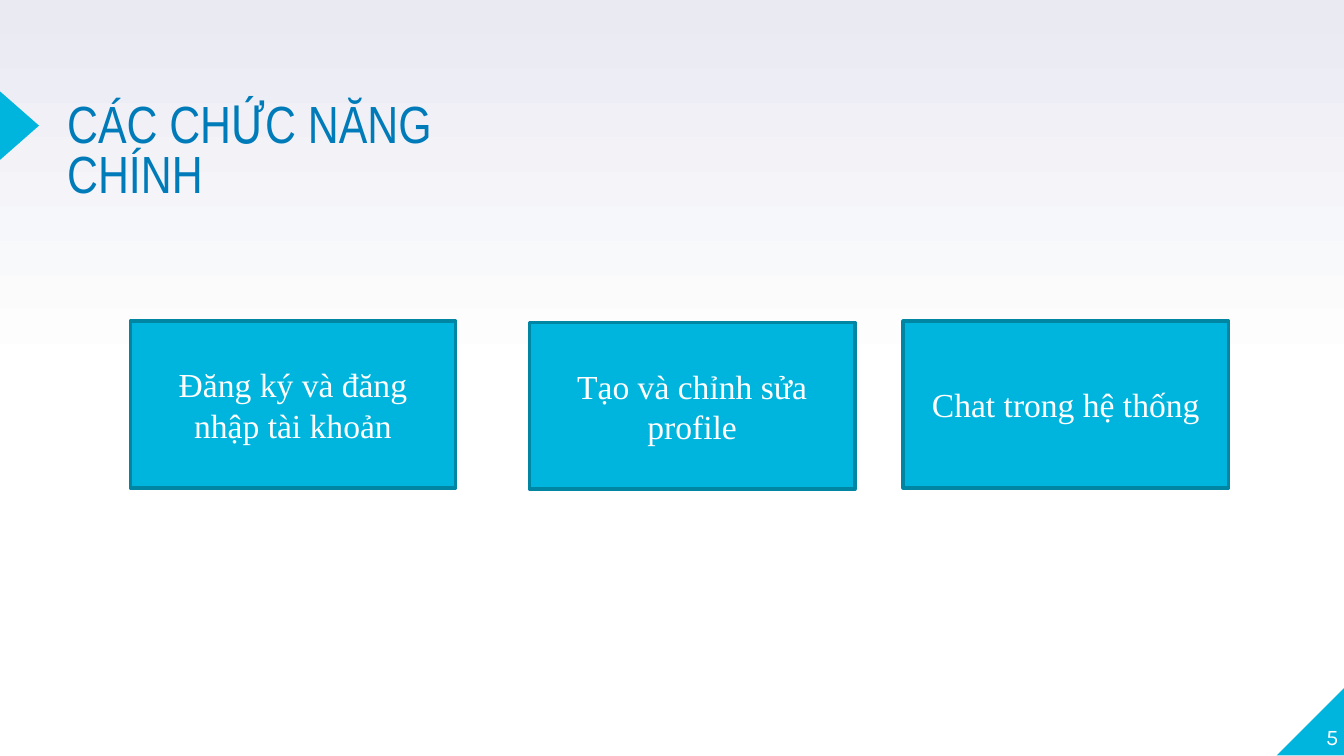
from pptx import Presentation, util as u
from pptx.dml import color
from pptx.enum import shapes, text

CYAN, EDGE, BLUE, WHITE, MIST = "00B5DD", "0086A3", "007BB9", "FFFFFF", "E9EAF2"
FUNCTIONS = [
    (0.97, 2.39, "Đăng ký và đăng nhập tài khoản"),
    (3.94, 2.4, "Tạo và chỉnh sửa profile"),
    (6.72, 2.39, "Chat trong hệ thống"),
]


def rgb(value):
    """Turn a hex string into a colour."""
    return color.RGBColor.from_string(value)


def inches(box):
    """Turn a box of plain numbers into lengths."""
    return [u.Inches(side) for side in box]


def apply(target, values):
    """Set each attribute of the target from a dict."""
    for name, value in values.items():
        setattr(target, name, value)


def write(shape, wording, font, size, ink, para_format, frame_format):
    """Put one formatted paragraph into a shape."""
    frame = shape.text_frame
    frame.text = wording
    apply(frame, {"word_wrap": True, "auto_size": text.MSO_AUTO_SIZE.NONE, **frame_format})
    para = frame.paragraphs[0]
    apply(para, para_format)
    span = para.runs[0]
    apply(span.font, {"name": font, "size": u.Pt(size)})
    span.font.color.rgb = rgb(ink)


def margins(size):
    """Give the same margin to all four sides."""
    return {f"margin_{side}": u.Inches(size) for side in ("left", "top", "right", "bottom")}


def add_filled(page, kind, box, edge=None):
    """Add a cyan preset shape with an optional edge."""
    shape = page.shapes.add_shape(kind, *inches(box))
    shape.shadow.inherit = False
    shape.fill.solid()
    shape.fill.fore_color.rgb = rgb(CYAN)
    if edge:
        shape.line.color.rgb = rgb(edge)
        shape.line.width = u.Pt(2)
    else:
        shape.line.fill.background()
    return shape


def paint_background(page):
    """Fade the page from white up to a pale mist at the top."""
    fill = page.background.fill
    fill.gradient()
    fill.gradient_angle = 90
    for stop, position, tint in zip(fill.gradient_stops, (0.5, 1), (WHITE, MIST)):
        stop.position = position
        stop.color.rgb = rgb(tint)


def add_heading(page, left, top, width, height):
    """Place the title and the arrow at the page edge beside it."""
    arrow = add_filled(page, shapes.MSO_SHAPE.ISOSCELES_TRIANGLE,
                       (left - 0.61, top + 0.02, 0.51, 0.29))
    arrow.rotation = 90
    title = page.shapes.title
    apply(title, dict(zip(("left", "top", "width", "height"),
                          inches((left, top, width, height)))))
    write(title, "CÁC CHỨC NĂNG CHÍNH", "Arial Narrow", 28, BLUE,
          {"alignment": text.PP_ALIGN.LEFT, "line_spacing": 0.8},
          {"vertical_anchor": text.MSO_ANCHOR.TOP, **margins(0)})


def add_page_corner(page, left, top, size):
    """Place the corner triangle and the page number on it."""
    corner = add_filled(page, shapes.MSO_SHAPE.RIGHT_TRIANGLE, (left, top, size, size))
    corner._element.spPr.xfrm.set("flipH", "1")
    number = page.shapes.add_textbox(*inches((left - 0.04, top - 0.04, 0.5, size)))
    write(number, "5", "Karla", 12, WHITE, {"alignment": text.PP_ALIGN.RIGHT},
          {"vertical_anchor": text.MSO_ANCHOR.BOTTOM, **margins(0)})


def add_function(page, left, top, width, height, wording):
    """Place one labelled function box."""
    box = add_filled(page, shapes.MSO_SHAPE.RECTANGLE, (left, top, width, height), EDGE)
    write(box, wording, "Times New Roman", 18, WHITE,
          {"alignment": text.PP_ALIGN.CENTER},
          {"vertical_anchor": text.MSO_ANCHOR.MIDDLE})


def main():
    """Build the slide and save it."""
    deck = Presentation()
    width = u.Inches(10)
    apply(deck, {"slide_width": width, "slide_height": width * 9 // 16})
    page = deck.slides.add_slide(deck.slide_layouts[5])
    paint_background(page)
    add_page_corner(page, 9.5, 5.11, 0.51)
    add_heading(page, 0.5, 0.77, 3.57, 0.37)
    for left, top, wording in FUNCTIONS:
        add_function(page, left, top, 2.42, 1.24, wording)
    deck.save("out.pptx")


if __name__ == "__main__":
    main()
